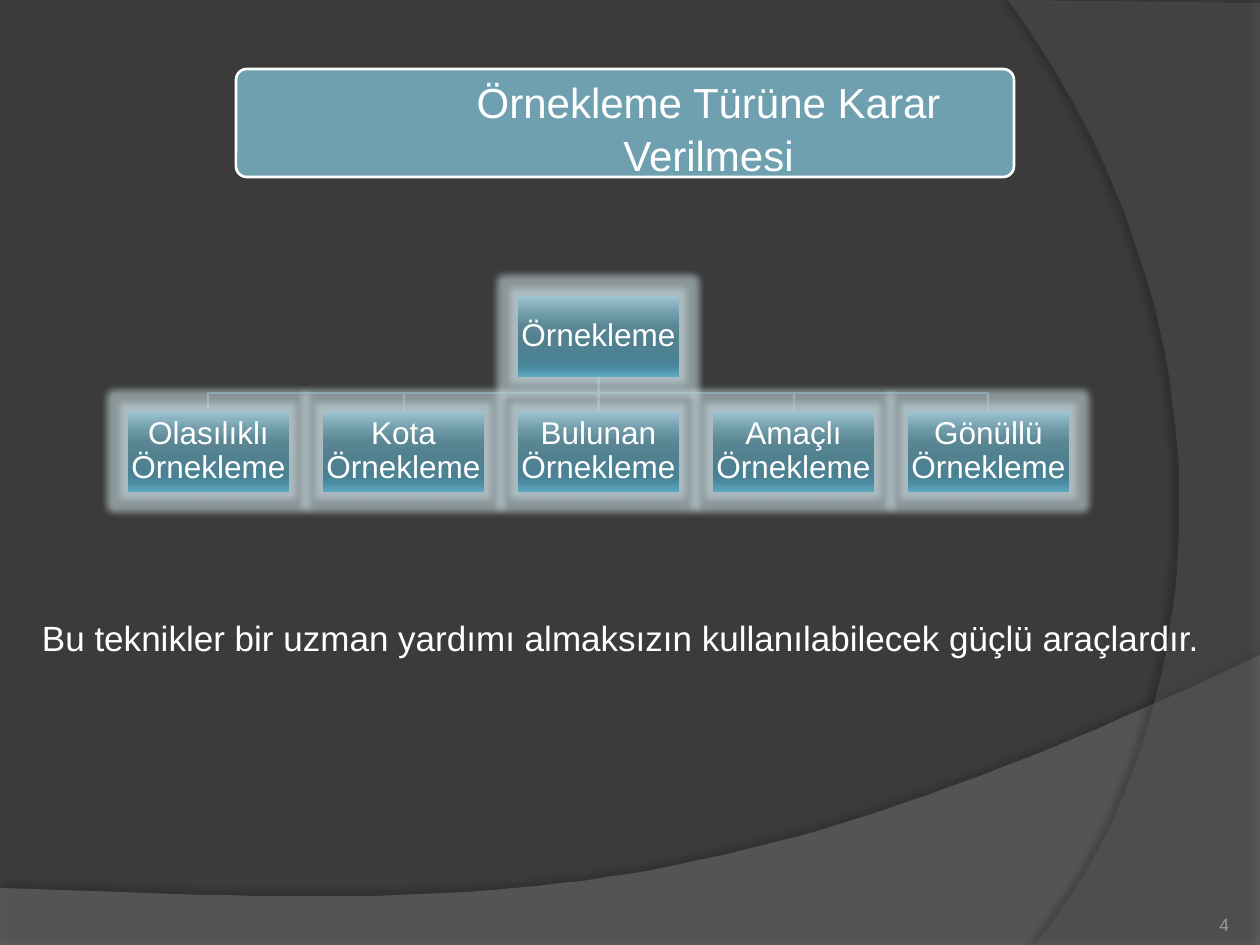
from dataclasses import dataclass

from lxml import etree
from pptx import Presentation
from pptx.dml.color import RGBColor
from pptx.enum.shapes import MSO_CONNECTOR, MSO_SHAPE
from pptx.enum.text import MSO_ANCHOR, PP_ALIGN
from pptx.oxml.ns import qn
from pptx.util import Emu, Pt

RECT, ROUND = MSO_SHAPE.RECTANGLE, MSO_SHAPE.ROUNDED_RECTANGLE
STRAIGHT = MSO_CONNECTOR.STRAIGHT
MIDDLE, BOTTOM, TOP = MSO_ANCHOR.MIDDLE, MSO_ANCHOR.BOTTOM, MSO_ANCHOR.TOP
LEFT, CENTER, RIGHT = PP_ALIGN.LEFT, PP_ALIGN.CENTER, PP_ALIGN.RIGHT
PX = 914400 / 126


@dataclass(frozen=True)
class Theme:
    font: str = "Arial"
    background: str = "3B3B3B"
    wave: str = "7F7F7F"
    arc: str = "5E5E5E"
    banner: str = "6EA0B0"
    text: str = "FFFFFF"
    number: str = "9D9B9A"
    branch: str = "58808D"
    glow: str = "C3D5DB"
    box_stops: tuple = ((0, "9EC4D2"), (25, "6C97A5"), (38, "5B8694"), (55, "51808F"),
                        (80, "4A8294"), (88, "4A8BA0"), (100, "5DAAC2"))
    title_size: int = 24
    body_size: int = 20
    box_size: int = 18
    number_size: int = 10


T = Theme()


def px(*values):
    return [Emu(round(v * PX)) for v in values]


def write(tf, runs, size, color, align, anchor, inset, spacing=1.0):
    tf.word_wrap = True
    tf.vertical_anchor = anchor
    tf.margin_left = tf.margin_right = tf.margin_top = tf.margin_bottom = px(inset)[0]
    p = tf.paragraphs[0]
    p.alignment = align
    p.line_spacing = spacing
    for text in runs:
        r = p.add_run()
        r.text = text
        r.font.name = T.font
        r.font.size = Pt(size)
        r.font.color.rgb = RGBColor.from_string(color)


prs = Presentation()
prs.slide_width, prs.slide_height = px(1260, 945)
s = prs.slides.add_slide(prs.slide_layouts[6])
s.background.fill.solid()
s.background.fill.fore_color.rgb = RGBColor.from_string(T.background)

# Background wave and arc: corner points, then a sampled cubic curve.
# Shadow: opacity %, blur pt, distance pt, direction in degrees
backdrops = [
    ([(0, 888), (0, 946), (1260, 946)],
     [(1260, 655), (704, 919), (493, 906), (0, 888)], T.wave, 45, (35, 4, 3.5, 270)),
    ([(1260, 3), (1260, 945)],
     [(1034, 945), (1178, 780), (1283, 378), (1008, 0)], T.arc, 40, (45, 4, 4, 180)),
]
STEPS = 48
for corners, curve, color, opacity, (shade, blur, dist, angle) in backdrops:
    points = list(corners)
    for i in range(STEPS + 1):
        t = i / STEPS
        weights = ((1 - t) ** 3, 3 * t * (1 - t) ** 2, 3 * t * t * (1 - t), t ** 3)
        points.append(tuple(sum(w * c[axis] for w, c in zip(weights, curve))
                            for axis in (0, 1)))
    fb = s.shapes.build_freeform(*points[0], scale=PX)
    fb.add_line_segments(points[1:], close=True)
    sp = fb.convert_to_shape()
    sp.fill.solid()
    sp.fill.fore_color.rgb = RGBColor.from_string(color)
    sp.line.fill.background()
    sp.shadow.inherit = False
    spPr = sp.element.spPr
    clr = spPr.find(qn("a:solidFill")).find(qn("a:srgbClr"))
    etree.SubElement(clr, qn("a:alpha"), val=str(opacity * 1000))
    shadow = etree.SubElement(spPr.find(qn("a:effectLst")), qn("a:outerShdw"),
                              blurRad=str(Pt(blur)), dist=str(Pt(dist)),
                              dir=str(angle * 60000), algn="ctr", rotWithShape="0")
    clr = etree.SubElement(shadow, qn("a:srgbClr"), val="000000")
    etree.SubElement(clr, qn("a:alpha"), val=str(shade * 1000))

# Slide number
sp = s.shapes.add_textbox(*px(1124, 885, 105, 50))
write(sp.text_frame, ["4"], T.number_size, T.number, RIGHT, BOTTOM, 0)

# Title banner
sp = s.shapes.add_shape(ROUND, *px(236, 69, 778, 108))
sp.adjustments[0] = 0.1
sp.fill.solid()
sp.fill.fore_color.rgb = RGBColor.from_string(T.banner)
sp.line.color.rgb = RGBColor.from_string(T.text)
sp.line.width = Pt(1.5)
sp.shadow.inherit = False
sp = s.shapes.add_textbox(*px(403, 73, 611, 108))
write(sp.text_frame, ["Örnekleme Türüne Karar ", "Verilmesi"], T.title_size, T.text,
      CENTER, MIDDLE, 10, 1.05)

# Tree geometry: the root stands above the middle child
BOX_W, BOX_H, PITCH = 161, 81, 195
FIRST_X, ROOT_Y, CHILD_Y, BUS_Y = 128, 296, 411, 393
kinds = ["Olasılıklı", "Kota", "Bulunan", "Amaçlı", "Gönüllü"]
middle = len(kinds) // 2
root_x = FIRST_X + middle * PITCH
root_mid, root_bottom = root_x + BOX_W / 2, ROOT_Y + BOX_H

# Branches, behind the boxes
for i in range(len(kinds)):
    mid = FIRST_X + i * PITCH + BOX_W / 2
    if i == middle:
        sp = trunk = s.shapes.add_connector(
            STRAIGHT, *px(root_mid, root_bottom, mid, CHILD_Y))
        etree.SubElement(sp._element.spPr, qn("a:effectLst"))
    else:
        fb = s.shapes.build_freeform(root_mid, root_bottom, scale=PX)
        fb.add_line_segments([(root_mid, BUS_Y), (mid, BUS_Y), (mid, CHILD_Y)], close=False)
        sp = fb.convert_to_shape()
        sp.fill.background()
        sp.shadow.inherit = False
    sp.line.color.rgb = RGBColor.from_string(T.branch)
    sp.line.width = Pt(1.5)

# Glowing boxes
boxes = [(root_x, ROOT_Y, "Örnekleme")]
boxes += [(FIRST_X + i * PITCH, CHILD_Y, kind + " Örnekleme") for i, kind in enumerate(kinds)]
nodes = []
for x, y, label in boxes:
    sp = s.shapes.add_shape(RECT, *px(x, y, BOX_W, BOX_H))
    sp.fill.gradient()
    sp.fill.gradient_angle = 270
    sp.line.fill.background()
    sp.shadow.inherit = False
    spPr = sp.element.spPr
    stops = spPr.find(qn("a:gradFill")).find(qn("a:gsLst"))
    for old in list(stops):
        stops.remove(old)
    for pos, color in T.box_stops:
        gs = etree.SubElement(stops, qn("a:gs"), pos=str(pos * 1000))
        etree.SubElement(gs, qn("a:srgbClr"), val=color)
    glow = etree.SubElement(spPr.find(qn("a:effectLst")), qn("a:glow"), rad=str(px(14)[0]))
    clr = etree.SubElement(glow, qn("a:srgbClr"), val=T.glow)
    etree.SubElement(clr, qn("a:alpha"), val="60000")
    write(sp.text_frame, [label], T.box_size, T.text, CENTER, MIDDLE, 1, 0.9)
    nodes.append(sp)
trunk.begin_connect(nodes[0], 2)
trunk.end_connect(nodes[1 + middle], 0)

# Closing remark
sp = s.shapes.add_textbox(*px(29, 610, 1211, 55))
write(sp.text_frame,
      ["Bu teknikler bir uzman yardımı almaksızın kullanılabilecek güçlü araçlardır."],
      T.body_size, T.text, LEFT, TOP, 6)
sp.text_frame.margin_left = sp.text_frame.margin_right = px(13)[0]

prs.save("out.pptx")
